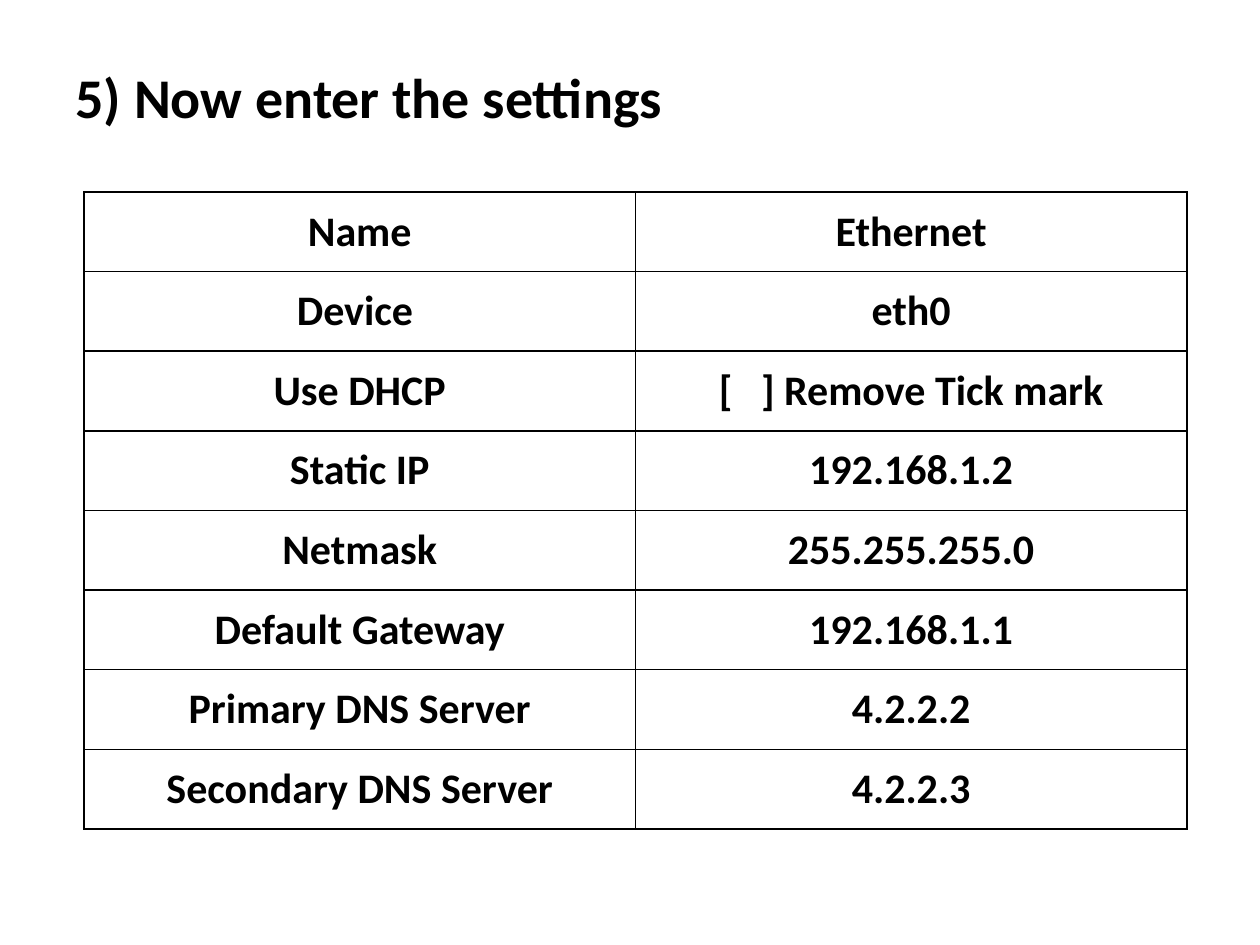
from lxml import etree
from pptx import Presentation
from pptx.dml.color import RGBColor
from pptx.enum.text import MSO_ANCHOR, PP_ALIGN
from pptx.oxml.ns import qn
from pptx.util import Emu, Pt

PX = 914400 // 126
FONT = "Calibri"
BLACK = "000000"
TOP, MIDDLE = MSO_ANCHOR.TOP, MSO_ANCHOR.MIDDLE
LEFT, CENTER = PP_ALIGN.LEFT, PP_ALIGN.CENTER

SETTINGS = [
    ("Name", "Ethernet"),
    ("Device ", "eth0"),
    ("Use DHCP", "[   ] Remove Tick mark"),
    ("Static IP", "192.168.1.2"),
    ("Netmask", "255.255.255.0"),
    ("Default Gateway", "192.168.1.1"),
    ("Primary DNS Server", "4.2.2.2"),
    ("Secondary DNS Server", "4.2.2.3"),
]


def px(n):
    return Emu(n * PX)


def color(value):
    return RGBColor.from_string(value)


def set_text(tf, text, size, align):
    tf.text = text
    p = tf.paragraphs[0]
    p.alignment = align
    font = p.runs[0].font
    font.name, font.size, font.bold = FONT, Pt(size), True
    font.color.rgb = color(BLACK)


def set_borders(cell, value, width):
    tc_pr = cell._tc.get_or_add_tcPr()
    for i, side in enumerate(("a:lnL", "a:lnR", "a:lnT", "a:lnB")):
        ln = etree.Element(qn(side), w=str(Pt(width)))
        fill = etree.SubElement(ln, qn("a:solidFill"))
        etree.SubElement(fill, qn("a:srgbClr"), val=value)
        tc_pr.insert(i, ln)


def add_title(s, text, left, top, width, height):
    title = s.shapes.title
    title.left, title.top = px(left), px(top)
    title.width, title.height = px(width), px(height)
    tf = title.text_frame
    tf.word_wrap = True
    tf.vertical_anchor = TOP
    set_text(tf, text, 32, LEFT)


def add_settings_table(s, rows, left, top, width, height):
    frame = s.shapes.add_table(len(rows), len(rows[0]), px(left), px(top),
                               px(width), px(height))
    table = frame.table
    table.first_row = table.horz_banding = False
    for r, values in enumerate(rows):
        for c, value in enumerate(values):
            cell = table.cell(r, c)
            cell.fill.background()
            cell.vertical_anchor = MIDDLE
            set_text(cell.text_frame, value, 24, CENTER)
            set_borders(cell, BLACK, 1)


def main():
    prs = Presentation()
    prs.slide_width, prs.slide_height = px(1260), px(945)
    s = prs.slides.add_slide(prs.slide_layouts[5])

    # Step heading
    add_title(s, "5) Now enter the settings ", 63, 56, 1134, 84)

    # Network settings
    add_settings_table(s, SETTINGS, 84, 192, 1103, 637)

    prs.save("out.pptx")


main()
